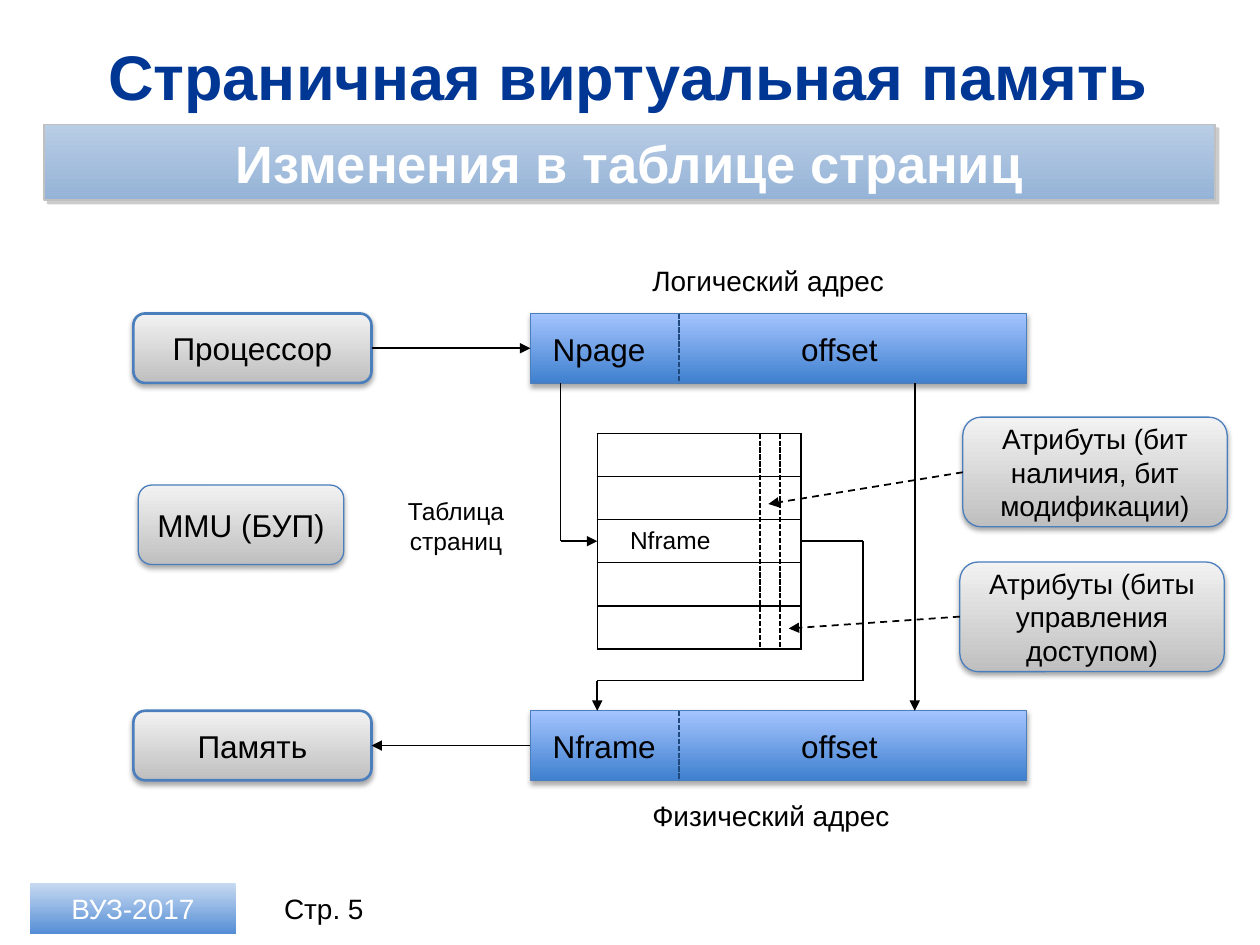
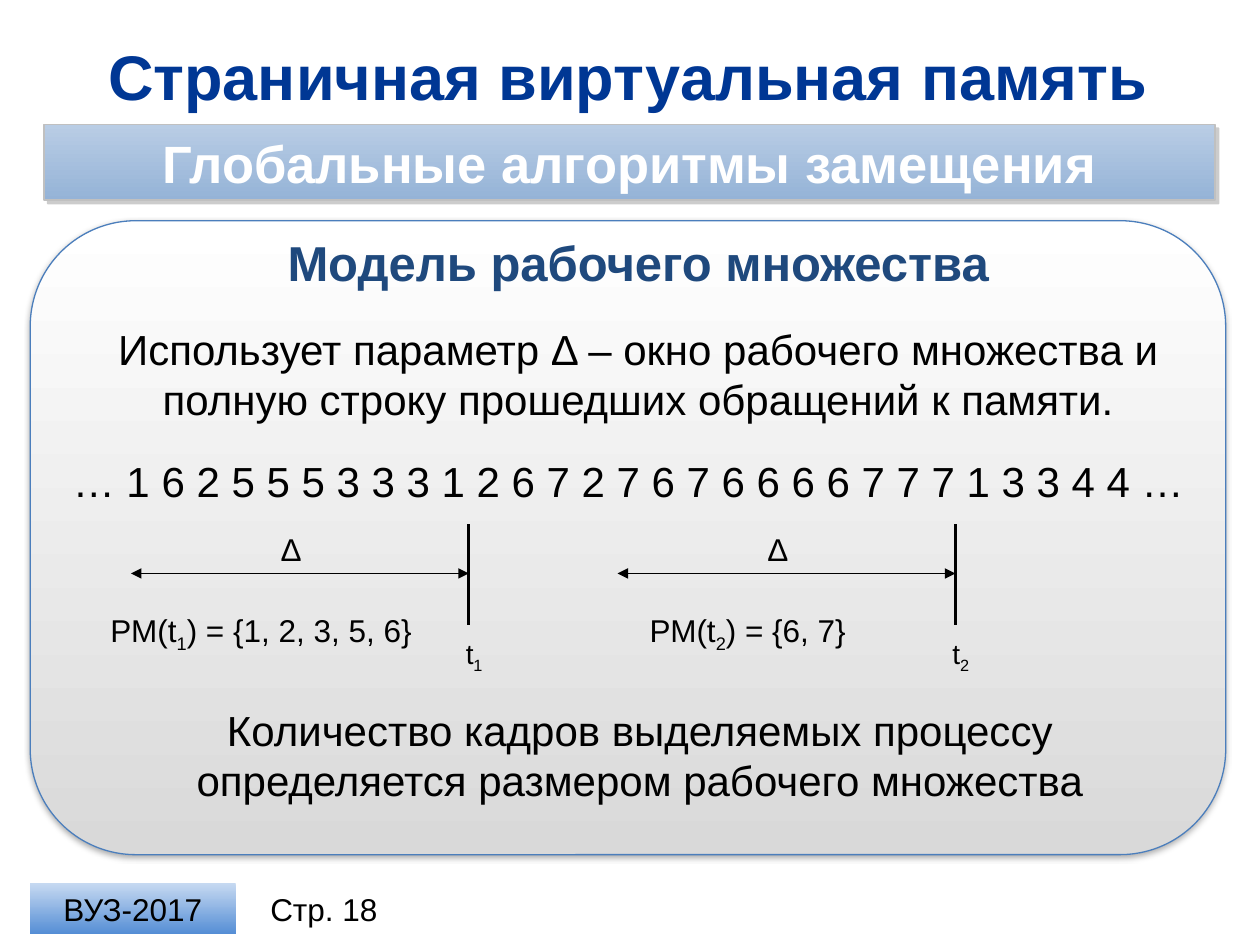
from typing import NamedTuple

from lxml import etree
from pptx import Presentation
from pptx.dml.color import RGBColor
from pptx.enum.dml import MSO_LINE
from pptx.enum.shapes import MSO_CONNECTOR, MSO_SHAPE
from pptx.enum.text import MSO_ANCHOR, PP_ALIGN
from pptx.oxml.ns import qn
from pptx.util import Cm, Pt

RECTANGLE, ROUNDED = MSO_SHAPE.RECTANGLE, MSO_SHAPE.ROUNDED_RECTANGLE
STRAIGHT = MSO_CONNECTOR.STRAIGHT
DASH, SHORT_DASH = MSO_LINE.DASH, MSO_LINE.SQUARE_DOT
LEFT, CENTER = PP_ALIGN.LEFT, PP_ALIGN.CENTER
TOP, MIDDLE = MSO_ANCHOR.TOP, MSO_ANCHOR.MIDDLE
FONT = "Arial"
COLORS = {
    "black": "000000", "white": "FFFFFF", "title": "003794", "heading": "1F497D",
    "outline": "4B7EBC", "band_line": "C0C0C0", "band_shadow": "808080",
}
GRADIENTS = {
    "badge": ("C6D9F1", "558ED5"), "band": ("B9CDE5", "95B3D7"),
    "node": ("F2F2F2", "BFBFBF"), "address": ("A4C4FF", "3F80CE"),
    "panel": ("FFFFFF", "D9D9D9"),
}
SOFT_SHADOW = ("black", 35, 3.1, 1.8, 90)
BAND_SHADOW = ("band_shadow", 40, 0, 3, 45)


class Box(NamedTuple):
    """A rectangle in centimetres."""

    left: float
    top: float
    width: float
    height: float

    def inner(self, left, top, width, height):
        """Return a box placed relative to this one."""
        return Box(self.left + left, self.top + top, width, height)

    def point(self, left, top):
        """Return a point placed relative to this box."""
        return self.left + left, self.top + top

    def lengths(self):
        """Return the four lengths for python-pptx."""
        return [Cm(value) for value in self]


def color(name):
    """Return a named colour."""
    return RGBColor.from_string(COLORS[name])


def format_paragraph(paragraph, size, ink="black", bold=False, align=CENTER):
    """Set the font and alignment of a paragraph."""
    paragraph.alignment = align
    font = paragraph.font
    font.name, font.size, font.bold = FONT, Pt(size), bold
    font.color.rgb = color(ink)


def write(shape, text, size, ink="black", bold=False, align=CENTER, anchor=MIDDLE):
    """Fill a shape with one formatted paragraph."""
    frame = shape.text_frame
    frame.word_wrap = True
    frame.vertical_anchor = anchor
    frame.text = text
    format_paragraph(frame.paragraphs[0], size, ink, bold, align)


def add_label(slide, box, text, size, align=LEFT, anchor=TOP):
    """Add a text box."""
    label = slide.shapes.add_textbox(*box.lengths())
    write(label, text, size, align=align, anchor=anchor)


def add_indexed_label(slide, box, texts, size, align=LEFT):
    """Add a text box whose second run is a subscript."""
    label = slide.shapes.add_textbox(*box.lengths())
    label.text_frame.word_wrap = True
    paragraph = label.text_frame.paragraphs[0]
    for text in texts:
        paragraph.add_run().text = text
    format_paragraph(paragraph, size, align=align)
    paragraph.runs[1]._r.get_or_add_rPr().set("baseline", "-25000")


def add_shadow(shape, ink, opacity, blur, distance, angle):
    """Give a shape an outer shadow."""
    effects = shape._element.spPr.find(qn("a:effectLst"))
    shadow = etree.SubElement(
        effects, qn("a:outerShdw"), blurRad=str(int(Pt(blur))),
        dist=str(int(Pt(distance))), dir=str(angle * 60000), rotWithShape="0")
    tone = etree.SubElement(shadow, qn("a:srgbClr"), val=COLORS[ink])
    etree.SubElement(tone, qn("a:alpha"), val=str(opacity * 1000))


def add_block(slide, box, preset, gradient, outline="outline", width=0.75,
              shadow=SOFT_SHADOW):
    """Add a shape with a vertical gradient."""
    shape = slide.shapes.add_shape(preset, *box.lengths())
    shape.shadow.inherit = False
    shape.fill.gradient()
    shape.fill.gradient_angle = 270
    for stop, tone in zip(shape.fill.gradient_stops, GRADIENTS[gradient]):
        stop.color.rgb = RGBColor.from_string(tone)
    if outline:
        shape.line.color.rgb = color(outline)
        shape.line.width = Pt(width)
    else:
        shape.line.fill.background()
    if shadow:
        add_shadow(shape, *shadow)
    return shape


def add_line(slide, start, end, ink="black", width=1, dash=None, heads=()):
    """Add a straight line with optional arrowheads."""
    line = slide.shapes.add_connector(
        STRAIGHT, *[Cm(value) for value in (*start, *end)])
    line.line.color.rgb = color(ink)
    line.line.width = Pt(width)
    if dash:
        line.line.dash_style = dash
    properties = line._element.spPr
    for head in heads:
        etree.SubElement(properties.get_or_add_ln(), qn(head), type="triangle")
    etree.SubElement(properties, qn("a:effectLst"))


def add_route(slide, points, dash=None):
    """Join points by lines, with an arrowhead at the last one."""
    for start, end in zip(points, points[1:]):
        heads = ("a:tailEnd",) if end == points[-1] else ()
        add_line(slide, start, end, dash=dash, heads=heads)


def add_footer(slide, box, page, size, ink):
    """Add the badge and the page number."""
    badge = add_block(slide, box.inner(0, 0, 4.14, box.height), RECTANGLE,
                      "badge", outline=None, shadow=None)
    write(badge, "ВУЗ-2017", size, ink)
    add_label(slide, box.inner(4.55, 0, 2.74, box.height), f"Стр. {page}", size,
              CENTER, MIDDLE)


def add_header(slide, box, subtitle):
    """Place the title and the band under it."""
    title = slide.shapes.title
    title.left, title.top, title.width, title.height = box.inner(
        0, 0, box.width, 1.73).lengths()
    write(title, "Страничная виртуальная память", 36, "title", True)
    band = add_block(slide, box.inner(0.28, 1.85, 23.6, 1.52), RECTANGLE, "band",
                     "band_line", 1, BAND_SHADOW)
    frame = band.text_frame
    frame.margin_left = frame.margin_right = Cm(0.61)
    frame.margin_top = frame.margin_bottom = Cm(0.1)
    write(band, subtitle, 30, "white", True)


def add_base_slide(presentation, subtitle, page, footer_size, footer_ink):
    """Add a slide with the shared header and footer."""
    slide = presentation.slides.add_slide(presentation.slide_layouts[5])
    add_header(slide, Box(0.61, 0.66, 24.1, 3.37), subtitle)
    add_footer(slide, Box(0.61, 17.81, 7.29, 1.02), page, footer_size, footer_ink)
    return slide


def add_node(slide, box, text, size=18, width=0.75):
    """Add a grey rounded box with text."""
    write(add_block(slide, box, ROUNDED, "node", width=width), text, size)


def add_address(slide, box, number, caption, caption_top):
    """Add an address bar split into number and offset."""
    add_block(slide, box, RECTANGLE, "address")
    add_line(slide, box.point(3, 0), box.point(3, box.height), "heading",
             dash=SHORT_DASH)
    add_label(slide, box.inner(0.2, 0.2, 2.8, 1.02), number, 18)
    add_label(slide, box.inner(5.21, 0.2, 2.4, 1.02), "offset", 18)
    add_label(slide, box.inner(2.21, caption_top, 5.6, 0.94), caption, 16)


def format_cell(cell):
    """Give a cell black borders and no fill."""
    for side in ("a:lnL", "a:lnR", "a:lnT", "a:lnB"):
        border = etree.SubElement(cell._tc.get_or_add_tcPr(), qn(side),
                                  w=str(int(Pt(1))))
        fill = etree.SubElement(border, qn("a:solidFill"))
        etree.SubElement(fill, qn("a:srgbClr"), val=COLORS["black"])
    cell.fill.background()
    cell.margin_top = cell.margin_bottom = 0
    cell.margin_left = Cm(0.66)
    cell.vertical_anchor = MIDDLE
    format_paragraph(cell.text_frame.paragraphs[0], 14, align=LEFT)


def add_page_table(slide, box):
    """Add the page table with its attribute columns."""
    rows = 5
    table = slide.shapes.add_table(rows, 1, *box.lengths()).table
    table.first_row = table.horz_banding = False
    for index in range(rows):
        table.rows[index].height = Cm(box.height / rows)
        cell = table.cell(index, 0)
        cell.text = "Nframe" if index == 2 else ""
        format_cell(cell)
    for left in (3.28, 3.69):
        add_line(slide, box.point(left, 0), box.point(left, box.height),
                 dash=SHORT_DASH)


def add_translation_diagram(slide, box):
    """Draw the translation of a logical address into a physical one."""
    end = 8.01
    bar_left, bar_width, bar_height = 8, 10.01, 1.4
    add_address(slide, box.inner(bar_left, 0, bar_width, bar_height), "Npage",
                "Логический адрес", -1.14)
    add_address(slide, box.inner(bar_left, end, bar_width, bar_height), "Nframe",
                "Физический адрес", 1.65)
    for top, text in ((0, "Процессор"), (end, "Память")):
        add_node(slide, box.inner(0, top, 4.8, bar_height), text, width=1.5)
    add_node(slide, box.inner(0.1, 3.46, 4.14, 1.6), "MMU (БУП)")
    add_label(slide, box.inner(4.6, 3.56, 3.81, 1.45), "Таблица\vстраниц", 14, CENTER)
    add_page_table(slide, box.inner(9.35, 2.42, 4.11, 4.34))
    add_node(slide, box.inner(16.72, 2.09, 5.33, 2.21),
             "Атрибуты (бит наличия, бит модификации)", 16)
    add_node(slide, box.inner(16.66, 5.01, 5.33, 2.21),
             "Атрибуты (биты управления доступом)", 16)
    routes = (
        ((4.8, 0.7), (8, 0.7)),
        ((8, 8.71), (4.8, 8.71)),
        ((15.75, 1.4), (15.75, end)),
        ((8.61, 1.4), (8.61, 4.59), (9.35, 4.59)),
        ((13.46, 4.59), (14.71, 4.59), (14.71, 7.4), (9.35, 7.4), (9.35, end)),
    )
    pointers = (((16.72, 3.2), (12.8, 3.84)), ((16.66, 6.11), (13.21, 6.35)))
    for group, dash in ((routes, None), (pointers, DASH)):
        for points in group:
            add_route(slide, [box.point(*point) for point in points], dash)


def add_window(slide, box, index, pages):
    """Draw one working set window with its moment and its pages."""
    add_line(slide, box.point(box.width, 0), box.point(box.width, 2.02), width=2)
    add_line(slide, box.point(0, 0.99), box.point(box.width, 0.99),
             heads=("a:headEnd", "a:tailEnd"))
    add_label(slide, box.inner(2.77, 0, 1.04, 1.02), "Δ", 18)
    add_indexed_label(slide, box.inner(6.5, 2.13, 1.22, 0.94), ("t", index), 16)
    add_indexed_label(slide, box.inner(-0.74, 1.62, 6.73, 1.02),
                      ("РМ(t", index, f") = {{{pages}}}"), 18, CENTER)


def add_working_set(slide, box):
    """Draw the panel about the working set model."""
    add_block(slide, box, ROUNDED, "panel")
    body = slide.shapes.add_textbox(*box.inner(0.61, 0.12, 23.29, 5.82).lengths())
    frame = body.text_frame
    write(body, "Модель рабочего множества", 28, "heading", True, anchor=TOP)
    frame.paragraphs[0].space_after = Pt(6)
    lines = (
        ("Использует параметр Δ – окно рабочего множества и полную строку "
         "прошедших обращений к памяти.", CENTER),
        ("… 1 6 2 5 5 5 3 3 3 1 2 6 7 2 7 6 7 6 6 6 6 7 7 7 1 3 3 4 4 …", LEFT),
    )
    for text, align in lines:
        paragraph = frame.add_paragraph()
        paragraph.text = text
        paragraph.space_before, paragraph.space_after = Pt(12), Pt(6)
        format_paragraph(paragraph, 24, align=align)
    windows = ((2.03, "1", "1, 2, 3, 5, 6"), (11.84, "2", "6, 7"))
    for left, index, pages in windows:
        add_window(slide, box.inner(left, 6.12, 6.81, 3.07), index, pages)
    add_label(slide, box.inner(2.03, 9.62, 20.52, 2.31),
              "Количество кадров выделяемых процессу определяется размером "
              "рабочего множества", 24, CENTER)


def main():
    """Build and save the presentation."""
    presentation = Presentation()
    presentation.slide_width, presentation.slide_height = Cm(25.4), Cm(19.05)
    slide = add_base_slide(presentation, "Изменения в таблице страниц", 5, 16, "white")
    add_translation_diagram(slide, Box(2.69, 6.32, 22.05, 9.41))
    slide = add_base_slide(presentation, "Глобальные алгоритмы замещения", 18, 18,
                           "black")
    add_working_set(slide, Box(0.61, 4.45, 24.1, 12.78))
    presentation.save("out.pptx")


main()
